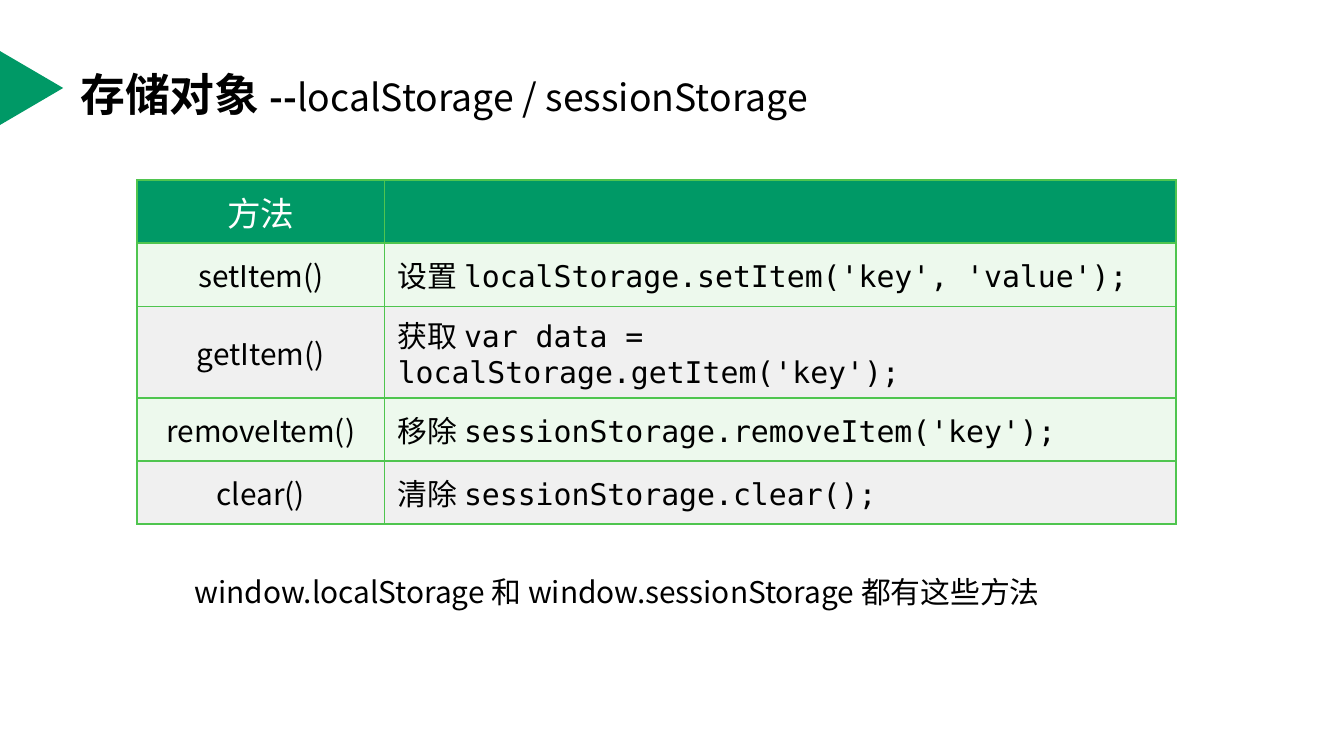
import dataclasses

import lxml.etree
import pptx
import pptx.dml.color
import pptx.enum.shapes
import pptx.enum.text
import pptx.oxml.ns
import pptx.util

Inches = pptx.util.Inches
RGBColor = pptx.dml.color.RGBColor
Align = pptx.enum.text.PP_ALIGN
Anchor = pptx.enum.text.MSO_ANCHOR
qn = pptx.oxml.ns.qn

GREEN = RGBColor(0x00, 0x99, 0x66)
EDGE = RGBColor(0x4F, 0xC5, 0x4F)
MINT = RGBColor(0xED, 0xF9, 0xED)
GREY = RGBColor(0xF0, 0xF0, 0xF0)
BLACK = RGBColor(0, 0, 0)
WHITE = RGBColor(0xFF, 0xFF, 0xFF)
SANS = "Noto Sans CJK SC"
MONO = "DejaVu Sans Mono"


@dataclasses.dataclass
class Span:
    text: str
    size: int = 16
    font: str = SANS
    color: RGBColor = BLACK
    bold: bool = False


@dataclasses.dataclass
class Method:
    name: str
    label: str
    code: str
    height: float = 0.47


METHODS = [
    Method("setItem()", "设置 ", "localStorage.setItem('key', 'value');"),
    Method("getItem()", "获取", " var data = localStorage.getItem('key');", 0.68),
    Method("removeItem()", "移除 ", "sessionStorage.removeItem('key');"),
    Method("clear()", "清除 ", "sessionStorage.clear();"),
]


def write(frame, spans: list[Span], align=Align.LEFT) -> None:
    para = frame.paragraphs[0]
    para.alignment = align
    for span in spans:
        run = para.add_run()
        run.text = span.text
        run.font.size = pptx.util.Pt(span.size)
        run.font.bold = span.bold
        run.font.color.rgb = span.color
        run.font.name = span.font
        props = run._r.get_or_add_rPr()
        lxml.etree.SubElement(props, qn("a:ea"), typeface=SANS)


def add_text(slide, left: float, top: float, width: float, height: float,
             spans: list[Span], anchor=Anchor.TOP) -> None:
    box = slide.shapes.add_textbox(
        Inches(left), Inches(top), Inches(width), Inches(height))
    frame = box.text_frame
    frame.word_wrap = True
    frame.vertical_anchor = anchor
    write(frame, spans)


def style(cell, fill: RGBColor) -> None:
    """Fill a cell and draw its four borders."""
    cell.vertical_anchor = Anchor.MIDDLE
    cell.fill.solid()
    cell.fill.fore_color.rgb = fill
    props = cell._tc.get_or_add_tcPr()
    for place, side in enumerate(("lnL", "lnR", "lnT", "lnB")):
        line = lxml.etree.Element(qn(f"a:{side}"), w=str(pptx.util.Pt(1)))
        solid = lxml.etree.SubElement(line, qn("a:solidFill"))
        lxml.etree.SubElement(solid, qn("a:srgbClr"), val=str(EDGE))
        props.insert(place, line)


def add_grid(slide) -> None:
    count = len(METHODS) + 1
    table = slide.shapes.add_table(
        count, 2, Inches(1.02), Inches(1.34),
        Inches(7.73), Inches(0.47 * count)).table
    for column, width in zip(table.columns, (1.84, 5.89)):
        column.width = Inches(width)

    for cell in table.rows[0].cells:
        style(cell, GREEN)
    write(table.cell(0, 0).text_frame,
          [Span("方法", 18, color=WHITE)], Align.CENTER)

    for row, method in enumerate(METHODS, 1):
        table.rows[row].height = Inches(method.height)
        name, usage = table.cell(row, 0), table.cell(row, 1)
        for cell in (name, usage):
            style(cell, MINT if row % 2 else GREY)
        write(name.text_frame, [Span(method.name)], Align.CENTER)
        write(usage.text_frame,
              [Span(method.label), Span(method.code, font=MONO)])


def add_marker(slide) -> None:
    mark = slide.shapes.add_shape(
        pptx.enum.shapes.MSO_SHAPE.ISOSCELES_TRIANGLE,
        Inches(-0.04), Inches(0.42), Inches(0.55), Inches(0.47))
    mark.rotation = 90
    mark.shadow.inherit = False
    mark.fill.solid()
    mark.fill.fore_color.rgb = GREEN
    mark.line.fill.background()


def main() -> None:
    deck = pptx.Presentation()
    deck.slide_width = Inches(10)
    deck.slide_height = Inches(10 * 9 / 16)
    slide = deck.slides.add_slide(deck.slide_layouts[6])
    add_marker(slide)
    add_text(slide, 0.5, 0.23, 9, 0.94, [
        Span("存储对象 ", 24, bold=True),
        Span("--", 20, bold=True),
        Span("localStorage / sessionStorage", 20),
    ], Anchor.MIDDLE)
    add_grid(slide)
    add_text(slide, 1.35, 4.22, 7.15, 0.39, [
        Span("window.localStorage 和 window.sessionStorage 都有这些方法"),
    ])
    deck.save("out.pptx")


if __name__ == "__main__":
    main()
